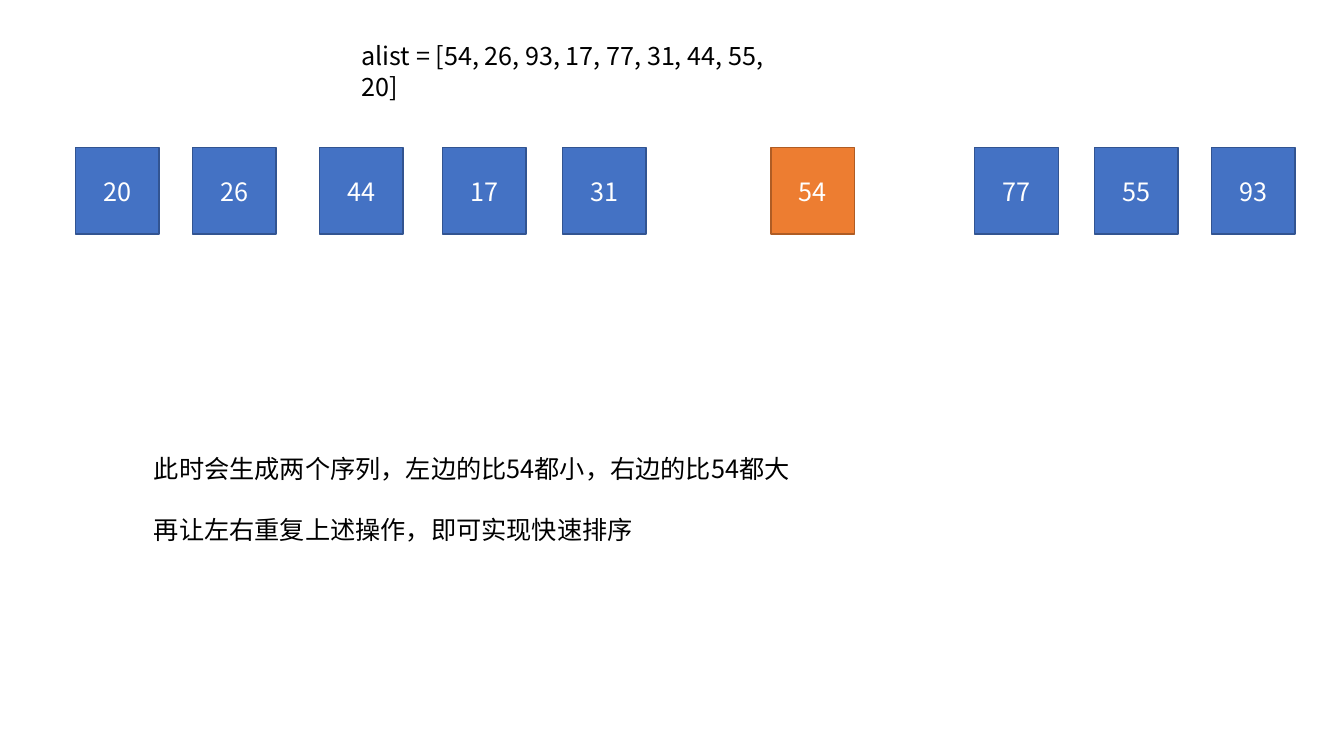
import pptx
import pptx.util
import pptx.dml.color
import pptx.enum.shapes
import pptx.enum.text
import pptx.oxml.ns
import lxml.etree
from dataclasses import dataclass

Cm = pptx.util.Cm
Pt = pptx.util.Pt


@dataclass(frozen=True)
class Theme:
    font: str = "Noto Sans CJK SC"
    size: float = 18
    line_spacing: float = 21.8
    text: str = "000000"
    box_text: str = "FFFFFF"
    number: tuple = ("4472C4", "325491")
    pivot: tuple = ("ED7D31", "AF5C24")


THEME = Theme()


def rgb(value):
    return pptx.dml.color.RGBColor.from_string(value)


def apply_format(target, values):
    for name, value in values.items():
        setattr(target, name, value)


def write_paragraph(paragraph, text, color, **paragraph_format):
    apply_format(paragraph, {"line_spacing": Pt(THEME.line_spacing), **paragraph_format})
    run = paragraph.add_run()
    run.text = text
    apply_format(run.font, {"name": THEME.font, "size": Pt(THEME.size)})
    run.font.color.rgb = rgb(color)
    # East Asian characters need their own typeface entry
    latin = run.font._element.find(pptx.oxml.ns.qn("a:latin"))
    east_asian = lxml.etree.Element(pptx.oxml.ns.qn("a:ea"), typeface=THEME.font)
    latin.addnext(east_asian)


def add_text(slide, box, paragraphs):
    """Place paragraphs in the box, one blank line's height apart."""
    shape = slide.shapes.add_textbox(*map(Cm, box))
    frame = shape.text_frame
    apply_format(frame, {
        "word_wrap": True,
        "auto_size": pptx.enum.text.MSO_AUTO_SIZE.SHAPE_TO_FIT_TEXT,
    })
    for index, text in enumerate(paragraphs):
        paragraph = frame.add_paragraph() if index else frame.paragraphs[0]
        gap = Pt(THEME.line_spacing if index else 0)
        write_paragraph(paragraph, text, THEME.text, space_before=gap)


def add_number_row(slide, box, numbers, pivot):
    """Place equal squares at their offsets along the box, with the pivot accented."""
    left, top, width, height = box
    square_width = 2.11
    for number, offset in numbers:
        shape = slide.shapes.add_shape(
            pptx.enum.shapes.MSO_SHAPE.RECTANGLE,
            Cm(left + offset), Cm(top), Cm(square_width), Cm(height))
        shape.shadow.inherit = False
        fill, line = THEME.pivot if number == pivot else THEME.number
        shape.fill.solid()
        shape.fill.fore_color.rgb = rgb(fill)
        shape.line.color.rgb = rgb(line)
        shape.line.width = Pt(1)
        shape.text_frame.vertical_anchor = pptx.enum.text.MSO_ANCHOR.MIDDLE
        write_paragraph(shape.text_frame.paragraphs[0], str(number), THEME.box_text,
                        alignment=pptx.enum.text.PP_ALIGN.CENTER)


def build_partition_slide(presentation):
    slide = presentation.slides.add_slide(presentation.slide_layouts[6])

    # Unsorted list
    add_text(slide, (8.86, 0.89, 11.35, 1.02),
             ["alist = [54, 26, 93, 17, 77, 31, 44, 55, 20]"])

    # Numbers split around the pivot
    numbers = [(20, 0), (26, 2.95), (44, 6.15), (17, 9.25), (31, 12.27),
               (54, 17.53), (77, 22.66), (55, 25.68), (93, 28.63)]
    add_number_row(slide, (1.9, 3.72, 30.74, 2.18), numbers, pivot=54)

    # Explanation
    add_text(slide, (3.63, 11.3, 16.61, 2.57),
             ["此时会生成两个序列，左边的比54都小，右边的比54都大",
              "再让左右重复上述操作，即可实现快速排序"])


presentation = pptx.Presentation()
apply_format(presentation, {"slide_width": Cm(33.87), "slide_height": Cm(19.05)})
build_partition_slide(presentation)
presentation.save("out.pptx")
